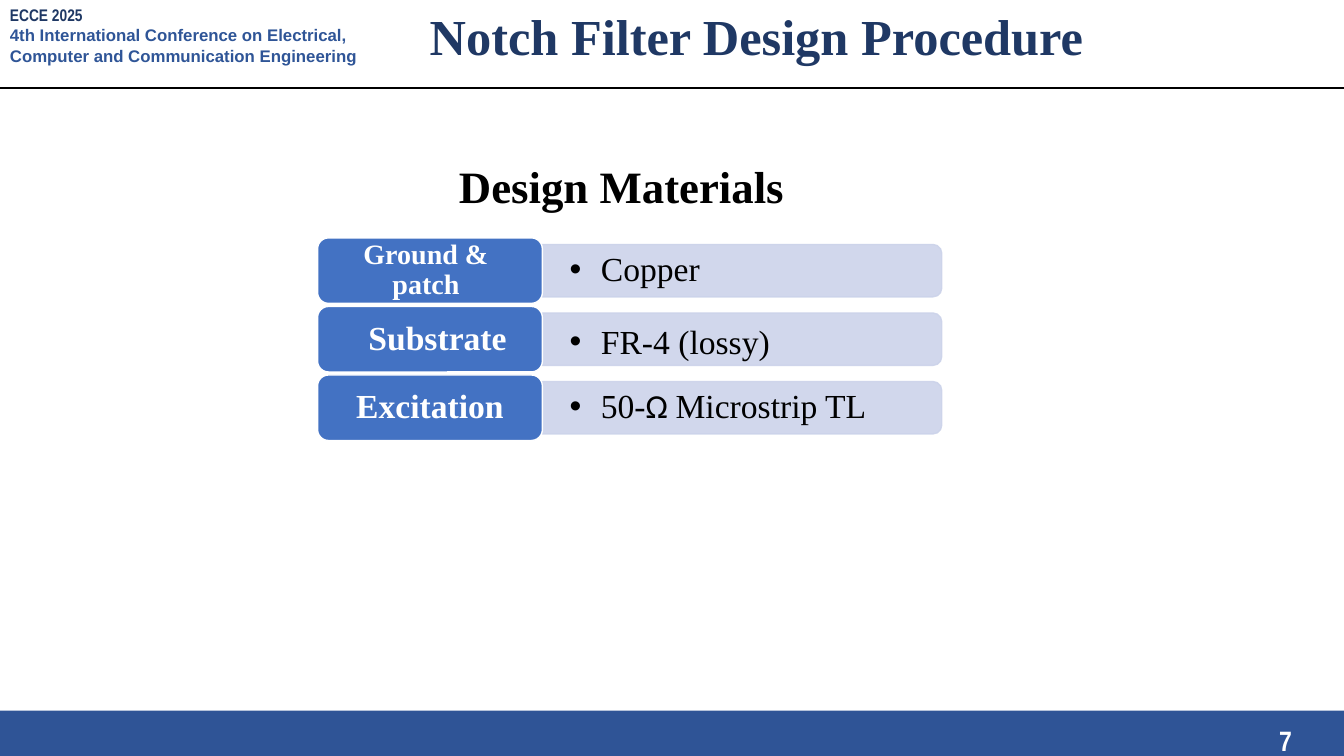
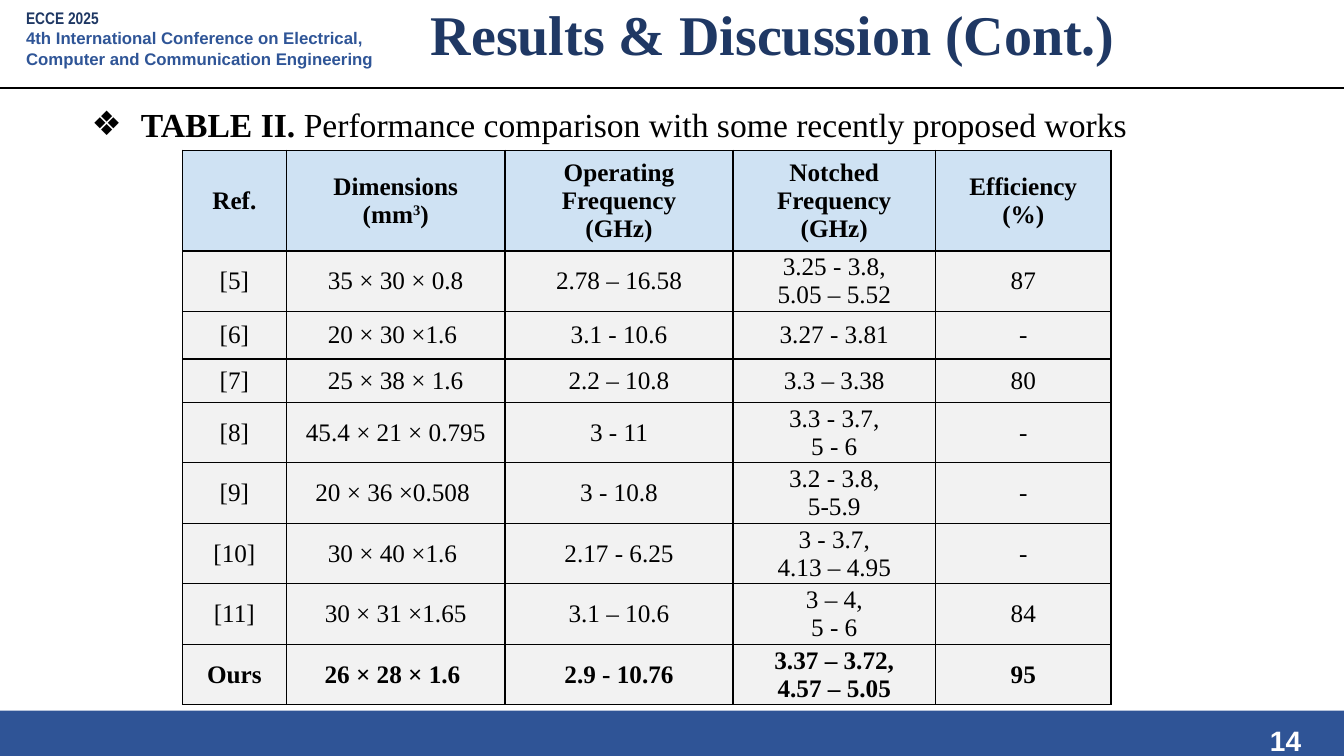
from lxml.etree import SubElement
from pptx import Presentation
from pptx.dml.color import RGBColor
from pptx.enum.shapes import MSO_CONNECTOR, MSO_SHAPE
from pptx.enum.text import MSO_ANCHOR, PP_ALIGN as AL
from pptx.oxml.ns import qn
from pptx.util import Inches as In, Pt

NAVY = RGBColor(0x1F, 0x38, 0x64)
BLUE = RGBColor(0x2F, 0x55, 0x97)
BAND = RGBColor(0x2F, 0x54, 0x96)
LABEL = RGBColor(0x43, 0x72, 0xC3)
PANEL = RGBColor(0xCC, 0xD3, 0xEA)
HEAD = RGBColor(0xCF, 0xE2, 0xF3)
BODY = RGBColor(0xF2, 0xF2, 0xF2)
BLACK = RGBColor(0, 0, 0)
WHITE = RGBColor(255, 255, 255)
SERIF, SANS, NARROW = "Times New Roman", "Arial", "Arial Narrow"
W, H = 13.33, 7.5


def write(tf, lines, size, color=BLACK, font=SERIF, bold=False, align=AL.CENTER):
    """Fill a text frame; each line is a list of run texts."""
    tf.word_wrap = True
    for i, runs in enumerate(lines):
        p = tf.paragraphs[0] if i == 0 else tf.add_paragraph()
        p.alignment = align
        for text in runs:
            r = p.add_run()
            r.text = text
            r.font.name, r.font.size, r.font.bold = font, Pt(size), bold
            r.font.color.rgb = color
    return tf


def add_bullet(p, char, indent):
    """Give a paragraph a bullet with a hanging indent in inches."""
    pPr = p._p.get_or_add_pPr()
    pPr.set("marL", str(In(indent)))
    pPr.set("indent", str(-In(indent)))
    clr = SubElement(pPr, qn("a:buClr"))
    SubElement(clr, qn("a:srgbClr"), val=str(BLACK))
    SubElement(pPr, qn("a:buFont"), typeface=SANS)
    SubElement(pPr, qn("a:buChar"), char=char)


prs = Presentation()
prs.slide_width, prs.slide_height = In(W), In(H)

# Shared frame: title, size, title box, page, page font, conference corner
pages = [
    ("Notch Filter Design Procedure", 36, (3.44, 0, 8.13, 0.71), "7", NARROW, (0, 0)),
    ("Results & Discussion (Cont.)", 40, (3.01, -0.05, 9.31, 0.77), "14", SANS, (0.16, 0.03)),
]
slides = []
for title, size, box, page, page_font, (x, y) in pages:
    s = prs.slides.add_slide(prs.slide_layouts[6])
    slides.append(s)

    band = s.shapes.add_shape(MSO_SHAPE.RECTANGLE, 0, In(0.94 * H), In(W), In(0.06 * H))
    band.shadow.inherit = False
    band.fill.solid()
    band.fill.fore_color.rgb = BAND
    band.line.fill.background()

    number = s.shapes.add_textbox(In(12.46), In(0.95 * H), In(0.58), In(0.44))
    write(number.text_frame, [[page]], 20, WHITE, page_font, True)

    rule = s.shapes.add_connector(MSO_CONNECTOR.STRAIGHT, 0, In(0.87), In(W), In(0.87))
    rule.line.color.rgb = BLACK
    rule.line.width = Pt(1.5)
    SubElement(rule._element.spPr, qn("a:effectLst"))

    heading = s.shapes.add_textbox(*map(In, box))
    write(heading.text_frame, [[title]], size, NAVY, bold=True)

    event = s.shapes.add_textbox(In(x), In(y), In(3.98), In(0.71))
    lines = [["ECCE 2025"], ["4th International Conference on Electrical, "
                             "Computer and Communication Engineering"]]
    tf = write(event.text_frame, lines, 12, NAVY, NARROW, True, AL.LEFT)
    r = tf.paragraphs[1].runs[0]
    r.font.name, r.font.color.rgb = SANS, BLUE

materials, results = slides

# Design materials: a label and a panel on each row
sub = materials.shapes.add_textbox(In(3.15), In(1.53), In(6.03), In(0.64))
write(sub.text_frame, [["Design Materials"]], 32, bold=True)

LEFT, TOP, PITCH = 3.15, 2.36, 0.68
LABEL_W, LABEL_H, PANEL_W, PANEL_H = 2.23, 0.65, 3.96, 0.52
# label, size, left and right inset, material runs, text offset from row middle
rows = [
    ("Ground & patch", 20, 0.12, 0.2, ["Copper"], 0),
    ("Substrate", 24, 0.27, 0.12, ["FR-4 (lossy)"], 0.04),
    ("Excitation", 24, 0.12, 0.12, ["50-", "Ω ", "Microstrip TL"], 0),
]
for i, (label, size, inset_l, inset_r, material, shift) in enumerate(rows):
    top = TOP + i * PITCH
    mid = top + LABEL_H / 2
    right = LEFT + LABEL_W

    # Panel: a shape rounded on top, turned to round its right side
    sp = materials.shapes.add_shape(
        MSO_SHAPE.ROUND_2_SAME_RECTANGLE, In(right + (PANEL_W - PANEL_H) / 2),
        In(mid - PANEL_W / 2), In(PANEL_H), In(PANEL_W))
    sp.rotation = 90
    sp.shadow.inherit = False
    sp.fill.solid()
    sp.fill.fore_color.rgb = sp.line.color.rgb = PANEL
    sp.line.width = Pt(1)
    for clr in sp._element.spPr.iter(qn("a:srgbClr")):
        SubElement(clr, qn("a:alpha"), val="90000")

    tb = materials.shapes.add_textbox(In(right), In(mid + shift - PANEL_H / 2),
                                      In(PANEL_W), In(PANEL_H))
    tf = write(tb.text_frame, [material], 24, align=AL.LEFT)
    tf.vertical_anchor = MSO_ANCHOR.MIDDLE
    tf.margin_left = tf.margin_right = In(0.27)
    tf.margin_top = tf.margin_bottom = 0
    p = tf.paragraphs[0]
    p.line_spacing = 0.9
    add_bullet(p, "•", 0.31)
    for r in p.runs:
        if "Ω" in r.text:
            r.font.name = "Calibri"

    sp = materials.shapes.add_shape(MSO_SHAPE.ROUNDED_RECTANGLE, In(LEFT), In(top),
                                    In(LABEL_W), In(LABEL_H))
    sp.shadow.inherit = False
    sp.fill.solid()
    sp.fill.fore_color.rgb = LABEL
    sp.line.color.rgb = WHITE
    sp.line.width = Pt(1)
    tf = write(sp.text_frame, [[label]], size, WHITE, bold=True)
    tf.vertical_anchor = MSO_ANCHOR.MIDDLE
    tf.margin_left, tf.margin_right = In(inset_l), In(inset_r)
    tf.margin_top = tf.margin_bottom = 0
    tf.paragraphs[0].line_spacing = 0.9

# Table caption
tb = results.shapes.add_textbox(In(0.81), In(0.98), In(10.72), In(0.5))
caption = ["TABLE II. ", "Performance comparison with some recently proposed works"]
p = write(tb.text_frame, [caption], 24, align=AL.JUSTIFY).paragraphs[0]
p.runs[0].font.bold = True
add_bullet(p, "❖", 0.49)

# Comparison table: a line break in a cell starts a new paragraph
data = [
    ("Ref.", "Dimensions\n(mm3)", "Operating\nFrequency\n(GHz)",
     "Notched\nFrequency\n(GHz)", "Efficiency\n(%)"),
    ("[5]", "35 × 30 × 0.8", "2.78 – 16.58", "3.25 - 3.8,\n5.05 – 5.52", "87"),
    ("[6]", "20 × 30 ×1.6 ", "3.1 - 10.6", "3.27 - 3.81", "-"),
    ("[7]", "25 × 38 × 1.6", "2.2 – 10.8", "3.3 – 3.38", "80"),
    ("[8]", "45.4 × 21 × 0.795", "3 - 11", "3.3 - 3.7,\n5 - 6", "-"),
    ("[9]", "20 × 36 ×0.508 ", "3 - 10.8", "3.2 - 3.8,\n5-5.9", "-"),
    ("[10]", "30 × 40 ×1.6 ", "2.17 - 6.25", "3 - 3.7,\n4.13 – 4.95", "-"),
    ("[11]", "30 × 31 ×1.65", "3.1 – 10.6", "3 – 4,\n5 - 6", "84"),
    ("Ours", "26 × 28 × 1.6 ", "2.9 - 10.76", "3.37 – 3.72,\n4.57 – 5.05", "95"),
]
col_widths = [1.03, 2.17, 2.26, 2.01, 1.74]
row_heights = [1, 0.6, 0.47, 0.43] + [0.6] * 5
table = results.shapes.add_table(len(data), len(col_widths), In(1.81), In(1.49),
                                 In(sum(col_widths)), In(sum(row_heights))).table
for col, width in zip(table.columns, col_widths):
    col.width = In(width)
for i, (values, height) in enumerate(zip(data, row_heights)):
    table.rows[i].height = In(height)
    header = i == 0
    for j, value in enumerate(values):
        cell = table.cell(i, j)
        lines = [["(mm", "3", ")"] if t == "(mm3)" else [t] for t in value.split("\n")]
        tf = write(cell.text_frame, lines, 18, bold=header or values[0] == "Ours")
        for p in tf.paragraphs:
            if len(p.runs) == 3:
                p.runs[1].font._element.set("baseline", "30000")
        cell.vertical_anchor = MSO_ANCHOR.MIDDLE
        cell.margin_left = cell.margin_right = In(0.1 if header else 0.07)
        cell.margin_top = cell.margin_bottom = In(0.05 if header else 0)
        tcPr = cell._tc.get_or_add_tcPr()
        for side in ("lnL", "lnR", "lnT", "lnB"):
            ln = SubElement(tcPr, qn("a:" + side), w=str(Pt(1)))
            SubElement(SubElement(ln, qn("a:solidFill")), qn("a:srgbClr"), val=str(BLACK))
        cell.fill.solid()
        cell.fill.fore_color.rgb = HEAD if header else BODY

prs.save("out.pptx")
